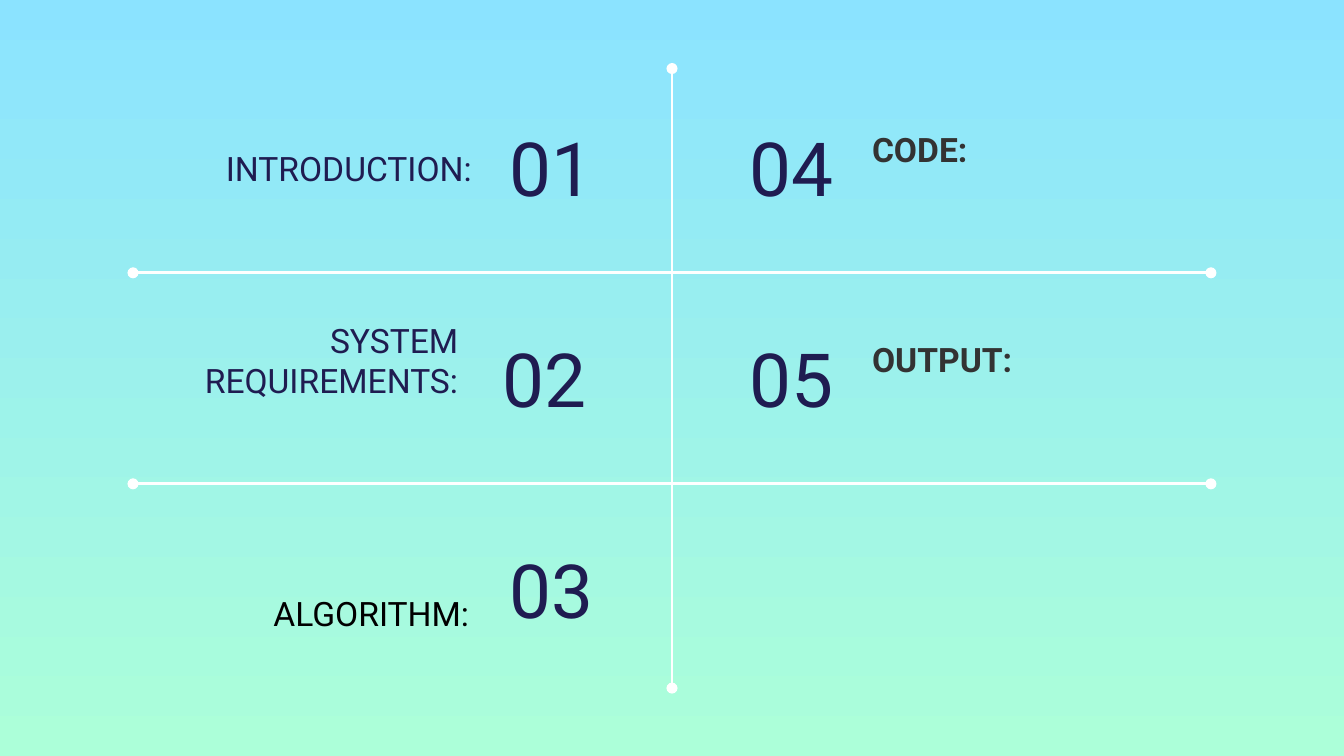
import pptx
import pptx.dml.color
import pptx.enum.shapes
import pptx.enum.text
import pptx.util
from lxml import etree

ALIGN = pptx.enum.text.PP_ALIGN
ANCHOR = pptx.enum.text.MSO_ANCHOR
NAVY, BLACK, GRAY, WHITE = "1F1C51", "000000", "333333", "FFFFFF"
SLIDE_W = 10
SLIDE_H = SLIDE_W * 9 / 16
MID, MARGIN = SLIDE_W / 2, 0.99
ROW_TOP, ROW_PITCH, ROW_H = 0.81, 1.57, 0.86
NUMBER_W = 1.3
TITLE_X = 6.39


def inches(*values):
    """Convert lengths in inches to slide units."""
    return [pptx.util.Inches(v) for v in values]


def rgb(value):
    """Return the colour for a hex string."""
    return pptx.dml.color.RGBColor.from_string(value)


def row_top(row):
    """Return the top of an agenda row."""
    return ROW_TOP + row * ROW_PITCH


def set_background(slide, top, bottom):
    """Fill the slide with a vertical gradient."""
    fill = slide.background.fill
    fill.gradient()
    fill.gradient_angle = 270
    for stop, color in zip(fill.gradient_stops, (top, bottom)):
        stop.color.rgb = rgb(color)


def add_text(slide, text, box, size, color, align, anchor, bold=False,
             right=0.1, bottom=0.1):
    """Add a one-paragraph text box."""
    tf = slide.shapes.add_textbox(*inches(*box)).text_frame
    tf.word_wrap = True
    tf.vertical_anchor = anchor
    tf.margin_left, tf.margin_top, tf.margin_right, tf.margin_bottom = inches(
        0.1, 0.1, right, bottom)
    p = tf.paragraphs[0]
    p.text = text
    p.alignment = align
    p.font.name = "Roboto"
    p.font.size = pptx.util.Pt(size)
    p.font.bold = bold
    p.font.color.rgb = rgb(color)


def add_number(slide, text, x, row, align):
    """Add a large section number in a row."""
    box = (x, row_top(row), NUMBER_W, ROW_H)
    add_text(slide, text, box, 40, NAVY, align, ANCHOR.MIDDLE)


def add_divider(slide, x1, y1, x2, y2):
    """Add a white line with round ends."""
    line = slide.shapes.add_connector(
        pptx.enum.shapes.MSO_CONNECTOR.STRAIGHT, *inches(x1, y1, x2, y2))
    line.line.color.rgb = rgb(WHITE)
    line.line.width = pptx.util.Pt(1.5)
    ln = line.line._get_or_add_ln()
    for end in ("a:headEnd", "a:tailEnd"):
        etree.SubElement(ln, pptx.oxml.ns.qn(end), type="oval")
    etree.SubElement(line._element.spPr, pptx.oxml.ns.qn("a:effectLst"))


def main():
    """Build the agenda slide."""
    prs = pptx.Presentation()
    prs.slide_width, prs.slide_height = inches(SLIDE_W, SLIDE_H)
    slide = prs.slides.add_slide(prs.slide_layouts[6])
    set_background(slide, "8BE3FF", "ACFFD9")

    add_divider(slide, MID, 0.51, MID, 5.12)
    for row in (1, 2):
        y = row_top(row) - 0.35
        add_divider(slide, MARGIN, y, SLIDE_W - MARGIN, y)

    for row, (number, x) in enumerate((("01", 3.69), ("02", 3.64), ("03", 3.69))):
        add_number(slide, number, x, row, ALIGN.LEFT)
    for row, number in enumerate(("04", "05")):
        add_number(slide, number, MID, row, ALIGN.RIGHT)

    add_text(slide, "INTRODUCTION:", (1.44, 1, 2.17, 0.64), 18, NAVY,
             ALIGN.RIGHT, ANCHOR.TOP)
    add_text(slide, "SYSTEM REQUIREMENTS:", (1.31, 2.35, 2.38, 1.03), 18, NAVY,
             ALIGN.RIGHT, ANCHOR.BOTTOM, right=0.28, bottom=0.4)
    add_text(slide, "ALGORITHM:", (MARGIN, row_top(2), 2.6, ROW_H), 18, BLACK,
             ALIGN.RIGHT, ANCHOR.BOTTOM)
    add_text(slide, "CODE:", (TITLE_X, row_top(0), 1.23, 0.55), 18, GRAY,
             ALIGN.LEFT, ANCHOR.BOTTOM, bold=True)
    add_text(slide, "OUTPUT:", (TITLE_X, 2.43, 1.31, 0.49), 18, GRAY,
             ALIGN.LEFT, ANCHOR.BOTTOM, bold=True)
    prs.save("out.pptx")


main()
